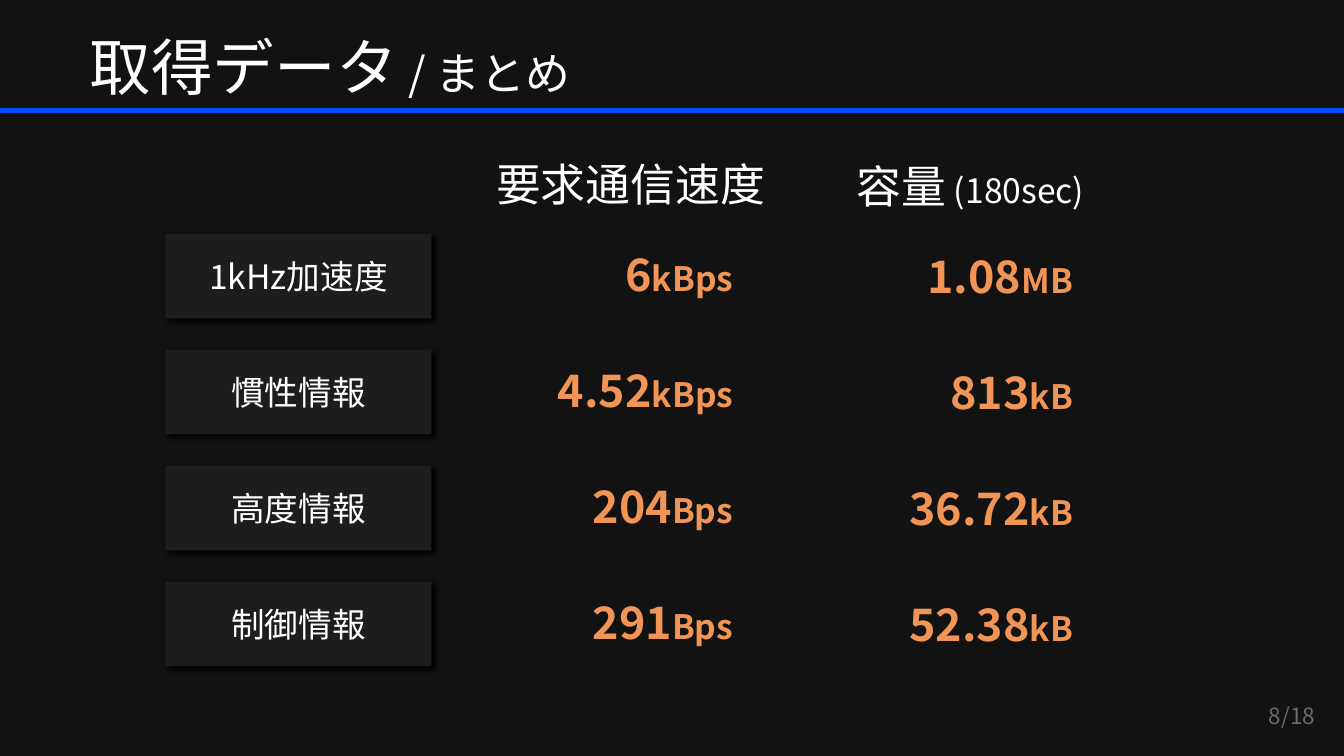
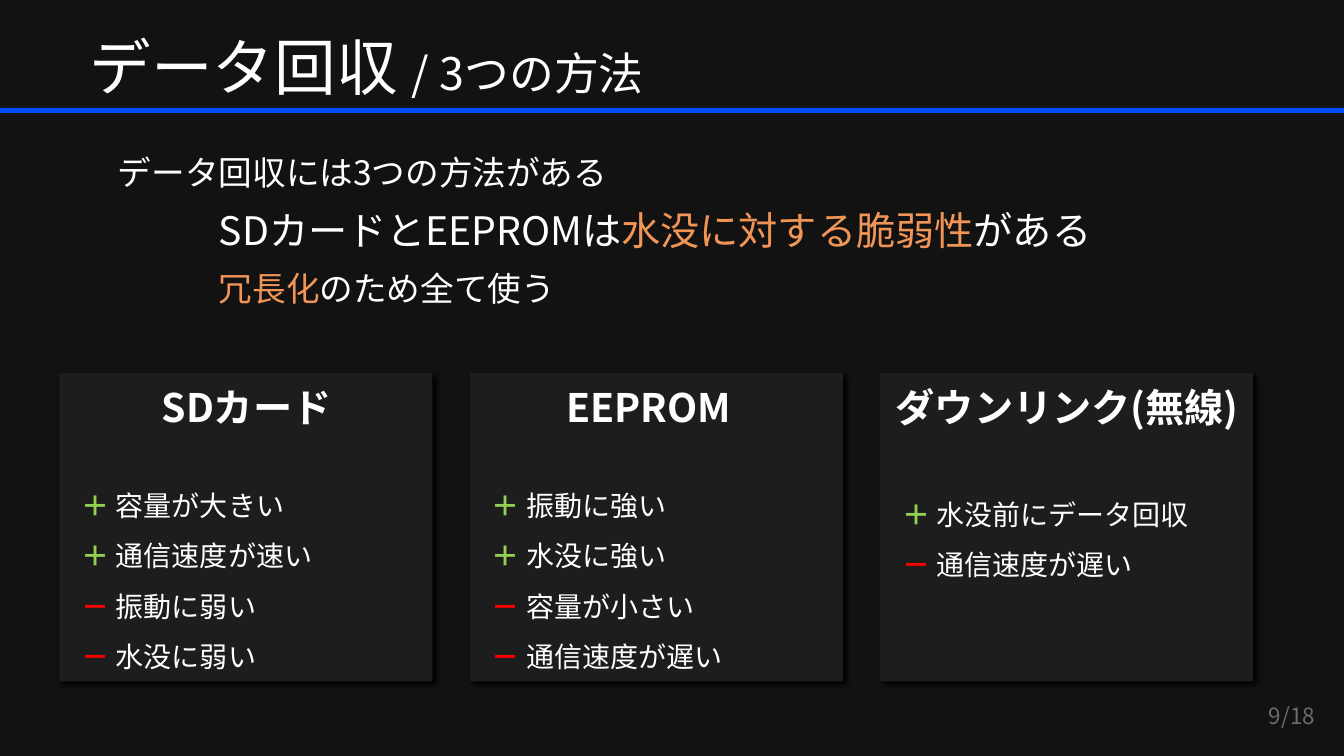
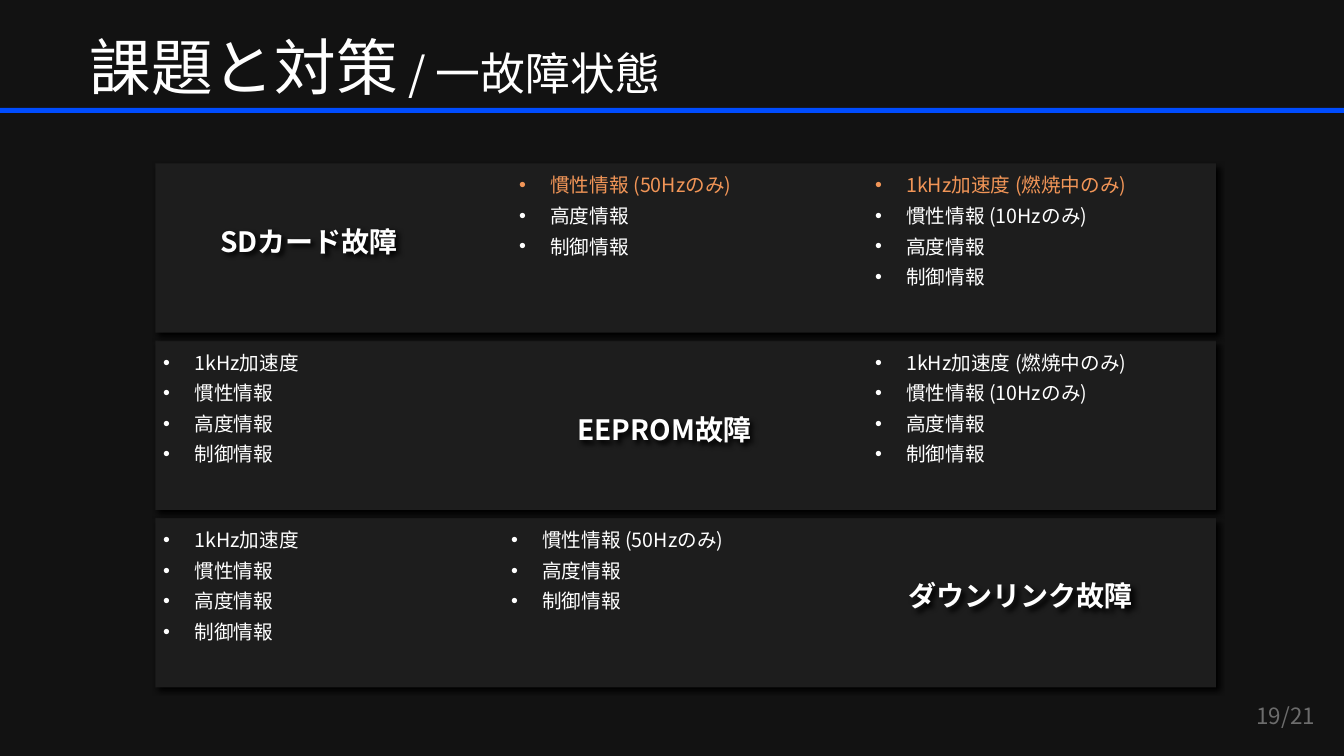
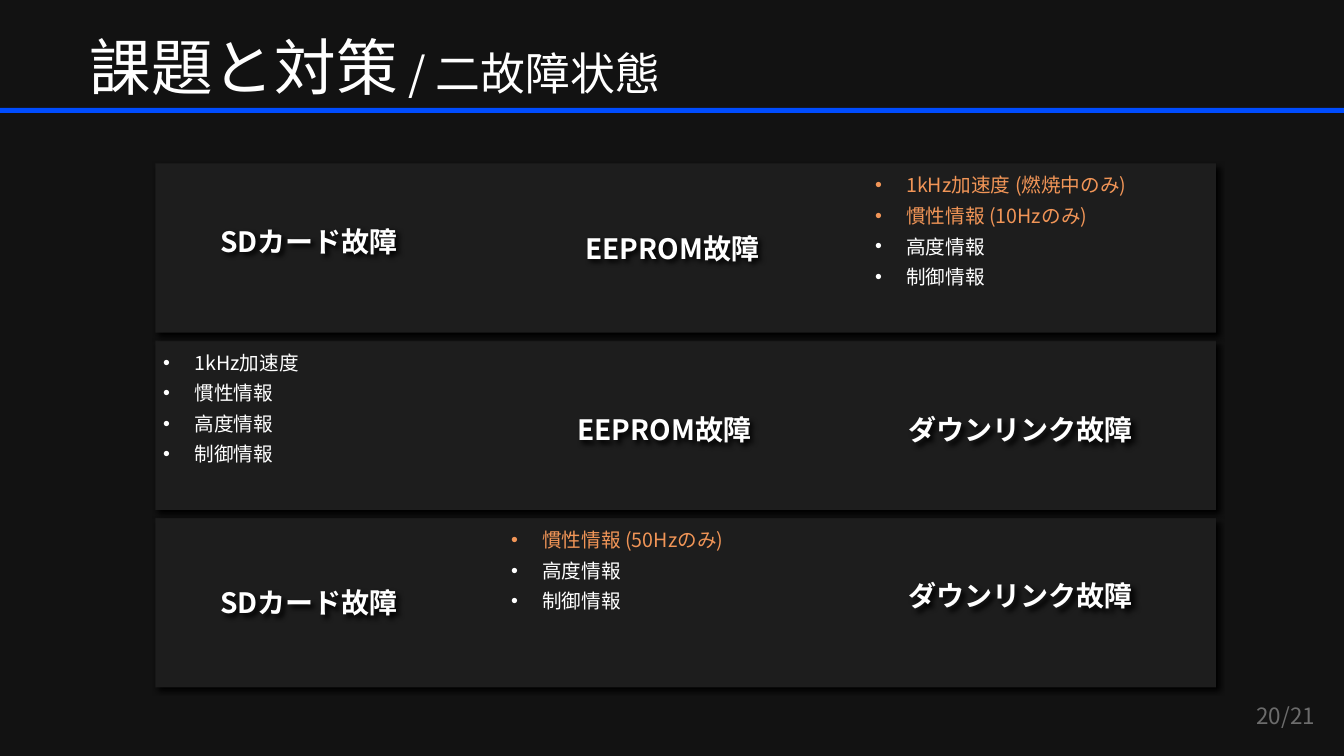
from lxml import etree
from pptx import Presentation
from pptx.dml.color import RGBColor
from pptx.enum.shapes import MSO_SHAPE
from pptx.enum.text import MSO_ANCHOR, MSO_AUTO_SIZE, PP_ALIGN
from pptx.oxml.ns import qn
from pptx.util import Inches, Pt

RECT = MSO_SHAPE.RECTANGLE
LEFT, CENTER, RIGHT = PP_ALIGN.LEFT, PP_ALIGN.CENTER, PP_ALIGN.RIGHT
TOP, MIDDLE, BOTTOM = MSO_ANCHOR.TOP, MSO_ANCHOR.MIDDLE, MSO_ANCHOR.BOTTOM
FIXED = MSO_AUTO_SIZE.NONE

BLACK = RGBColor(0x12, 0x12, 0x12)
PANEL = RGBColor(0x1D, 0x1D, 0x1D)
BLUE = RGBColor(0x00, 0x4C, 0xFF)
WHITE = RGBColor(0xFF, 0xFF, 0xFF)
ORANGE = RGBColor(0xF1, 0x95, 0x57)
GREEN = RGBColor(0x92, 0xD0, 0x50)
RED = RGBColor(0xFF, 0x00, 0x00)
GRAY = RGBColor(0x6C, 0x6C, 0x6C)
FONT = "Noto Sans CJK JP"
WIDE = 13.33
SIGNS = {"＋": GREEN, "－": RED}

ACCEL, MOTION, HEIGHT, CONTROL = "1kHz加速度", "慣性情報", "高度情報", "制御情報"
CARD = [ACCEL, MOTION, HEIGHT, CONTROL]
CHIP = ["慣性情報 (50Hzのみ)", HEIGHT, CONTROL]
RADIO = ["1kHz加速度 (燃焼中のみ)", "慣性情報 (10Hzのみ)", HEIGHT, CONTROL]
FAULTS = [
    ("SDカード故障", 2.08, 1.97),
    ("EEPROM故障", 5.46, 2.26),
    ("ダウンリンク故障", 8.72, 2.81),
]
COLUMNS = [1.52, 4.97, 8.58]


def sub(parent, tag, **attrs):
    node = etree.SubElement(parent, qn(tag))
    for key, value in attrs.items():
        node.set(key, str(value))
    return node


def place(shape, at):
    shape.left, shape.top, shape.width, shape.height = map(Inches, at)
    return shape


def shade(shape):
    shape.shadow.inherit = False
    effects = shape._element.spPr.find(qn("a:effectLst"))
    drop = sub(effects, "a:outerShdw", blurRad=Pt(4), dist=Pt(3),
               dir=45 * 60000, algn="tl", rotWithShape=0)
    sub(drop, "a:srgbClr", val="000000")


def write(shape, paras, size=24, color=WHITE, bold=False, align=LEFT,
          anchor=TOP, pad=0.05, inset=0.1, before=0, lines=None,
          bullet=False, shifts=()):
    frame = shape.text_frame
    frame.auto_size = FIXED
    frame.word_wrap = True
    frame.vertical_anchor = anchor
    frame.margin_left, frame.margin_right = Inches(inset), Inches(0.1)
    frame.margin_top = frame.margin_bottom = Inches(pad)
    for i, runs in enumerate(paras):
        para = frame.add_paragraph() if i else frame.paragraphs[0]
        para.alignment = align
        para.space_before = Pt(before if i else 0)
        para.line_spacing = lines
        props = para._p.get_or_add_pPr()
        shift = shifts[i] if shifts else 0
        props.set("marL", str(Inches(0.31 if bullet else shift)))
        props.set("indent", str(Inches(-0.31 if bullet else 0)))
        if bullet:
            sub(props, "a:buFont", typeface="Arial")
            sub(props, "a:buChar", char="•")
        else:
            sub(props, "a:buNone")
        for words, look in runs:
            run = para.add_run()
            run.text = words
            font = run.font
            font.name = FONT
            font.size = Pt(look.get("size", size))
            font.bold = look.get("bold", bold)
            font.color.rgb = look.get("color", color)
            sub(run._r.get_or_add_rPr(), "a:ea", typeface=FONT)


def label(slide, at, paras, **look):
    shape = place(slide.shapes.add_textbox(0, 0, 0, 0), at)
    write(shape, paras, **look)
    return shape


def block(slide, at, color):
    shape = slide.shapes.add_shape(RECT, *map(Inches, at))
    shape.fill.solid()
    shape.fill.fore_color.rgb = color
    shape.line.fill.background()
    shape.shadow.inherit = False
    return shape


def panel(slide, at):
    shape = block(slide, at, PANEL)
    shade(shape)
    return shape


def start(deck, head, tail, page, layout=5):
    slide = deck.slides.add_slide(deck.slide_layouts[layout])
    block(slide, (0, 1.07, WIDE, 0.05), BLUE)
    title = place(slide.shapes.title, (0.18, 0.12, 11.41, 0.96))
    write(title, [[(head, {}), (tail, {"size": 32})]], size=44,
          anchor=BOTTOM, inset=0.71, lines=0.9)
    label(slide, (12.14, 6.92, 1, 0.37), [[(page, {})]], size=16,
          color=GRAY, align=RIGHT)
    return slide


def rates(slide, left, top, unit_rows):
    for i, (name, *pairs) in enumerate(unit_rows):
        y = top + i * 1.15
        write(panel(slide, (left, y, 2.64, 0.84)), [[(name, {})]],
              align=CENTER, anchor=MIDDLE)
        for j, (value, unit) in enumerate(pairs):
            at = left + 2.93 + j * 3.37, y + 0.03 + j * 0.02, 2.8, 0.79
            label(slide, at, [[(value, {}), (unit, {"size": 24})]],
                  size=32, color=ORANGE, bold=True, align=RIGHT, pad=0.1)


def method(slide, left, top, name, points, nudge=0, drop=0):
    panel(slide, (left, top, 3.7, 3.06))
    label(slide, (left - 0.09 + nudge, top, 3.89, 0.79), [[(name, {})]],
          size=28, bold=True, align=CENTER, pad=0.1)
    paras = [[(p[0], {"color": SIGNS[p[0]], "bold": True}), (" " + p[1:], {})]
             for p in points]
    label(slide, (left + 0.12, top + 0.93 + drop, 3.47, 2.03), paras,
          size=20, lines=1.5)


def items(slide, left, top, names, marked):
    paras = [[(name, {"color": ORANGE if i < marked else WHITE})]
             for i, name in enumerate(names)]
    label(slide, (left, top, 3.08, 1.68), paras, size=14, pad=0.1,
          before=5, bullet=True)


def fault(slide, col, top, nudge):
    name, left, width = FAULTS[col]
    shape = label(slide, (left + nudge, top, width, 0.6), [[(name, {})]],
                  size=20, bold=True, align=CENTER, anchor=MIDDLE)
    shade(shape)


def states(slide, rows):
    tops = [1.62 + i * 1.76 for i in range(len(rows))]
    for top in reversed(tops):
        panel(slide, (1.54, top, 10.52, 1.68))
    for i, (top, cells) in enumerate(zip(tops, rows)):
        for col, (names, value) in enumerate(cells):
            nudge = 0.08 if (i, col) == (0, 1) else 0
            if names:
                items(slide, COLUMNS[col] + nudge, top, names, value)
            else:
                fault(slide, col, top + value, nudge)


def main():
    deck = Presentation()
    deck.slide_width, deck.slide_height = Inches(WIDE), Inches(7.5)
    back = deck.slide_master.background.fill
    back.solid()
    back.fore_color.rgb = BLACK

    slide = start(deck, "取得データ", " / まとめ", "8/18")
    heads = [[("要求通信速度", {})], [("容量", {}), (" (180sec)", {"size": 24})]]
    for i, head in enumerate(heads):
        label(slide, (4.57 + i * 3.37, 1.45 + i * 0.02, 3.37, 0.79), [head],
              size=32, align=CENTER, pad=0.1)
    rates(slide, 1.64, 2.32, [
        (ACCEL, ("6", "kBps"), ("1.08", "MB")),
        (MOTION, ("4.52", "kBps"), ("813", "kB")),
        (HEIGHT, ("204", "Bps"), ("36.72", "kB")),
        (CONTROL, ("291", "Bps"), ("52.38", "kB")),
    ])

    slide = start(deck, "データ回収 ", "/ 3つの方法", "9/18", layout=1)
    body = place(slide.placeholders[1], (1.07, 1.41, 10.72, 2.2))
    big, hot = {"size": 28}, {"color": ORANGE}
    write(body, [
        [("データ回収には3つの方法がある", {})],
        [("SDカードとEEPROMは", big), ("水没に対する脆弱性", {**big, **hot}),
         ("がある", big)],
        [("冗長化", hot), ("のため全て使う", {})],
    ], pad=0.1, before=10, shifts=(0, 1, 1))
    cards = [
        ("SDカード", ["＋容量が大きい", "＋通信速度が速い",
                   "－振動に弱い", "－水没に弱い"], 0, 0),
        ("EEPROM", ["＋振動に強い", "＋水没に強い",
                    "－容量が小さい", "－通信速度が遅い"], -0.08, 0),
        ("ダウンリンク(無線)", ["＋水没前にデータ回収",
                        "－通信速度が遅い"], 0, 0.09),
    ]
    for i, card in enumerate(cards):
        method(slide, 0.59 + i * 4.07, 3.7, *card)

    slide = start(deck, "課題と対策", " / 一故障状態", "19/21")
    states(slide, [
        [(None, 0.47), (CHIP, 1), (RADIO, 1)],
        [(CARD, 0), (None, 0.58), (RADIO, 0)],
        [(CARD, 0), (CHIP, 0), (None, 0.47)],
    ])

    slide = start(deck, "課題と対策", " / 二故障状態", "20/21")
    states(slide, [
        [(None, 0.47), (None, 0.54), (RADIO, 2)],
        [(CARD, 0), (None, 0.58), (None, 0.58)],
        [(None, 0.54), (CHIP, 1), (None, 0.47)],
    ])
    deck.save("out.pptx")


if __name__ == "__main__":
    main()
